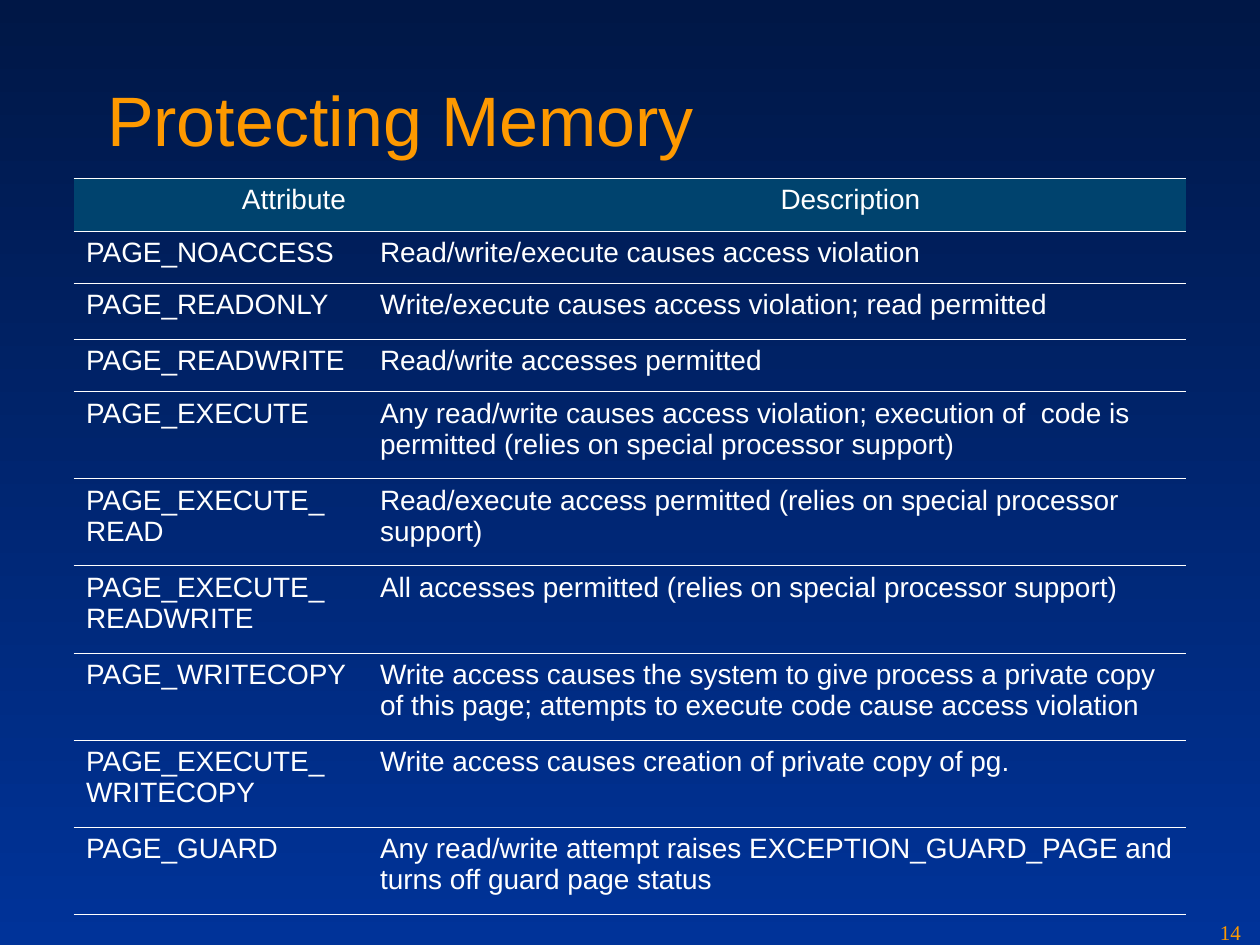
"""Build the slide on memory page protection attributes."""
from dataclasses import dataclass

from lxml.etree import SubElement
from pptx import Presentation
from pptx.dml.color import RGBColor
from pptx.enum.text import MSO_ANCHOR, PP_ALIGN
from pptx.oxml.ns import qn
from pptx.util import Pt

PX = 7620
WHITE, ORANGE, HEADER_FILL = "FFFFFF", "FE9900", "00436E"
COLUMN_WIDTHS = (280, 140, 640)
TITLE_FONT = {"name": "Arial", "size": Pt(40), "bold": False}
TABLE_FONT = {"name": "Arial", "size": Pt(16), "bold": False}
NUMBER_FONT = {"name": "Times New Roman", "size": Pt(12)}
CELL_MARGINS = {"margin_left": 12 * PX, "margin_right": 12 * PX,
                "margin_top": 6 * PX, "margin_bottom": 6 * PX}


@dataclass(frozen=True)
class Protection:
    """One protection attribute, its meaning and its row height."""
    name_lines: tuple[str, ...]
    description: str
    height: int = 83


PROTECTIONS = (
    Protection(("PAGE_NOACCESS",), "Read/write/execute causes access violation", 50),
    Protection(("PAGE_READONLY",),
               "Write/execute causes access violation; read permitted", 53),
    Protection(("PAGE_READWRITE",), "Read/write accesses permitted", 50),
    Protection(("PAGE_EXECUTE",),
               "Any read/write causes access violation; execution of  code is "
               "permitted (relies on special processor support)"),
    Protection(("PAGE_EXECUTE_", "READ"),
               "Read/execute access permitted (relies on special processor support)"),
    Protection(("PAGE_EXECUTE_", "READWRITE"),
               "All accesses permitted (relies on special processor support)"),
    Protection(("PAGE_WRITECOPY",),
               "Write access causes the system to give process a private copy of "
               "this page; attempts to execute code cause access violation"),
    Protection(("PAGE_EXECUTE_", "WRITECOPY"),
               "Write access causes creation of private copy of pg."),
    Protection(("PAGE_GUARD",),
               "Any read/write attempt raises EXCEPTION_GUARD_PAGE and turns off "
               "guard page status"),
)


def color(value: str) -> RGBColor:
    """Return the colour for a hex string."""
    return RGBColor.from_string(value)


def assign(target, values: dict) -> None:
    """Set each named attribute on the target."""
    for name, value in values.items():
        setattr(target, name, value)


def write(frame, lines: tuple[str, ...], font: dict, ink: str, **layout) -> None:
    """Write lines joined by line breaks as one formatted paragraph."""
    para = frame.paragraphs[0]
    assign(para, layout)
    for index, line in enumerate(lines):
        if index:
            para.add_line_break()
        span = para.add_run()
        span.text = line
        assign(span.font, font)
        span.font.color.rgb = color(ink)


def add_borders(cell, top_width: float) -> None:
    """Give a cell white horizontal borders and no vertical ones."""
    properties = cell._tc.get_or_add_tcPr()
    for side, width in (("L", 0), ("R", 0), ("T", top_width), ("B", 0.45)):
        line = SubElement(properties, qn(f"a:ln{side}"), w=str(int(Pt(width))))
        if width:
            fill = SubElement(line, qn("a:solidFill"))
            SubElement(fill, qn("a:srgbClr"), val=WHITE)
        else:
            SubElement(line, qn("a:noFill"))


def paint_background(page) -> None:
    """Fill the page with a vertical blue gradient."""
    fill = page.background.fill
    fill.gradient()
    fill.gradient_angle = 270
    for stop, value in zip(fill.gradient_stops, ("001746", "003399")):
        stop.color.rgb = color(value)


def add_title(page) -> None:
    """Place and format the title."""
    title = page.shapes.title
    assign(title, {"left": 90 * PX, "top": 60 * PX,
                   "width": 1060 * PX, "height": 160 * PX})
    assign(title.text_frame, {"word_wrap": True, "margin_top": 13 * PX,
                              "vertical_anchor": MSO_ANCHOR.TOP})
    write(title.text_frame, ("Protecting Memory",), TITLE_FONT, ORANGE,
          alignment=PP_ALIGN.LEFT)


def add_protection_table(page) -> None:
    """Draw the table of protection attributes."""
    heights = (50, *(item.height for item in PROTECTIONS))
    table = page.shapes.add_table(
        len(heights), len(COLUMN_WIDTHS), 70 * PX, 170 * PX,
        sum(COLUMN_WIDTHS) * PX, sum(heights) * PX).table
    assign(table, {"first_row": False, "horz_banding": False})
    for column, width in zip(table.columns, COLUMN_WIDTHS):
        column.width = width * PX
    for index, (row, height) in enumerate(zip(table.rows, heights)):
        row.height = height * PX
        for cell in row.cells:
            assign(cell, CELL_MARGINS)
            add_borders(cell, 0.45 if index else 1.08)
            if index:
                cell.fill.background()
            else:
                cell.fill.solid()
                cell.fill.fore_color.rgb = color(HEADER_FILL)
    table.cell(0, 0).merge(table.cell(0, 1))
    for column, heading in ((0, "Attribute"), (2, "Description")):
        write(table.cell(0, column).text_frame, (heading,), TABLE_FONT, WHITE,
              alignment=PP_ALIGN.CENTER, space_after=Pt(4))
    for index, item in enumerate(PROTECTIONS, 1):
        table.cell(index, 1).merge(table.cell(index, 2))
        for column, lines in enumerate((item.name_lines, (item.description,))):
            write(table.cell(index, column).text_frame, lines, TABLE_FONT, WHITE,
                  space_after=Pt(4))


def add_page_number(page) -> None:
    """Write the page number in the bottom right corner."""
    box = page.shapes.add_textbox(1150 * PX, 870 * PX, 50 * PX, 30 * PX)
    box.text_frame.word_wrap = True
    write(box.text_frame, ("14",), NUMBER_FONT, ORANGE)


def main() -> None:
    """Build and save the deck."""
    deck = Presentation()
    assign(deck, {"slide_width": 1200 * PX, "slide_height": 900 * PX})
    page = deck.slides.add_slide(deck.slide_layouts[5])
    paint_background(page)
    add_title(page)
    add_protection_table(page)
    add_page_number(page)
    deck.save("out.pptx")


if __name__ == "__main__":
    main()
